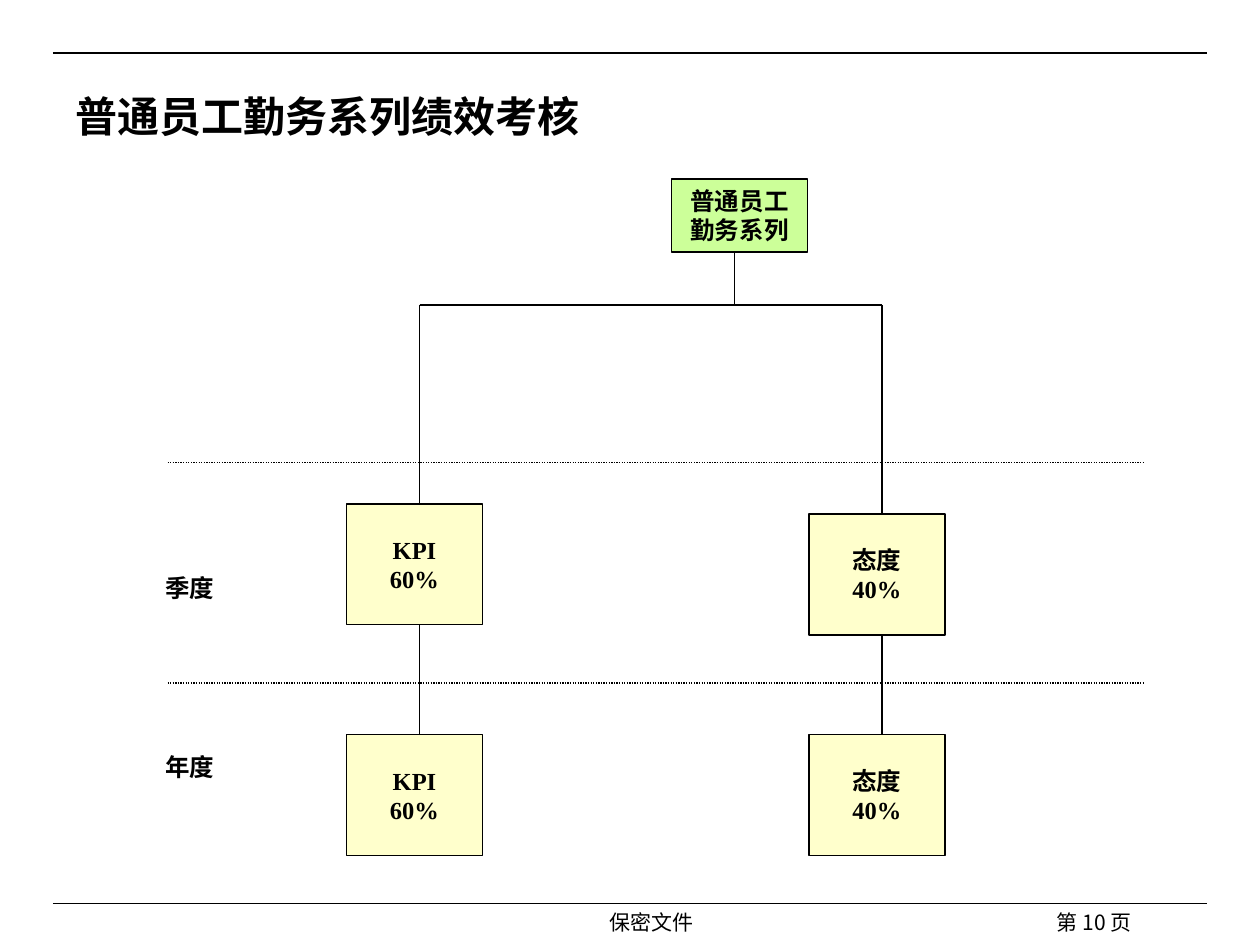
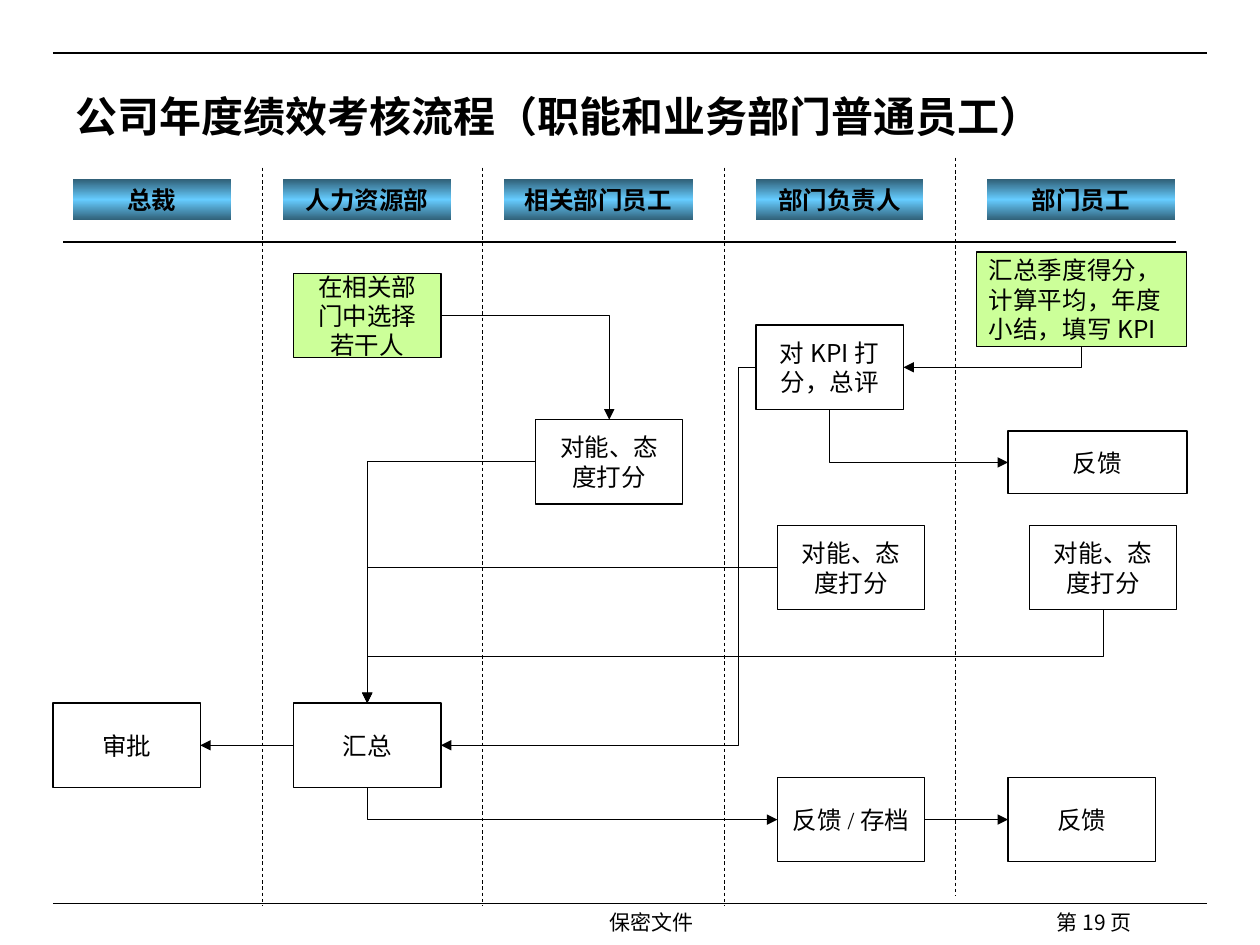
from copy import deepcopy

from lxml import etree
from pptx import Presentation
from pptx.dml.color import RGBColor
from pptx.enum.dml import MSO_LINE
from pptx.enum.shapes import MSO_CONNECTOR, MSO_SHAPE
from pptx.enum.text import MSO_ANCHOR, PP_ALIGN
from pptx.oxml.ns import qn
from pptx.util import Inches, Pt

STRAIGHT, ELBOW = MSO_CONNECTOR.STRAIGHT, MSO_CONNECTOR.ELBOW
RECT = MSO_SHAPE.RECTANGLE
DOT, DASH = MSO_LINE.ROUND_DOT, MSO_LINE.DASH
MIDDLE, HIGH = MSO_ANCHOR.MIDDLE, MSO_ANCHOR.TOP
LEFT, CENTER, RIGHT = PP_ALIGN.LEFT, PP_ALIGN.CENTER, PP_ALIGN.RIGHT
TOP, WEST, BOTTOM, EAST = range(4)
SANS, SERIF = "Noto Sans CJK SC", "Times New Roman"
BLACK, GREEN, CREAM = "000000", "CCFF99", "FFFFCC"
TEAL, SKY = "2F5E75", "66CCFF"
STEP = (1.17, 0.67)


def paint(color, value):
    """Set a colour from a hex string."""
    color.rgb = RGBColor.from_string(value)


def write(shape, text, size=14, font=SANS, bold=False, align=CENTER, anchor=MIDDLE):
    """Put styled text into a shape."""
    frame = shape.text_frame
    frame.word_wrap = True
    frame.vertical_anchor = anchor
    frame.text = text
    for para in frame.paragraphs:
        para.alignment = align
        for run in para.runs:
            run.font.size = Pt(size)
            run.font.name = font
            run.font.bold = bold
            paint(run.font.color, BLACK)
            east = etree.SubElement(run.font._element, qn("a:ea"))
            east.set("typeface", SANS)


def label(slide, text, x, y, w, h, **style):
    """Add a text box."""
    write(slide.shapes.add_textbox(Inches(x), Inches(y), Inches(w), Inches(h)), text, **style)


def box(slide, text, x, y, w, h, fill=None, **style):
    """Add an outlined rectangle with text."""
    shape = slide.shapes.add_shape(RECT, Inches(x), Inches(y), Inches(w), Inches(h))
    shape.shadow.inherit = False
    if fill:
        shape.fill.solid()
        paint(shape.fill.fore_color, fill)
    else:
        shape.fill.background()
    paint(shape.line.color, BLACK)
    shape.line.width = Pt(0.75)
    write(shape, text, **style)
    return shape


def band(slide, text, x, w):
    """Add a column heading with a vertical gradient."""
    shape = box(slide, text, x, 1.42, w, 0.33, bold=True)
    shape.line.fill.background()
    shape.fill.gradient()
    shape.fill.gradient_angle = 90
    edge, mid = shape.fill.gradient_stops
    paint(edge.color, TEAL)
    paint(mid.color, SKY)
    edge.position, mid.position = 0, 0.5
    stops = shape._element.spPr.find(".//" + qn("a:gsLst"))
    last = deepcopy(stops[0])
    last.set("pos", "100000")
    stops.append(last)


def ink(link, width=0.75, dash=None, arrow=False):
    """Style a connector and drop its shadow."""
    paint(link.line.color, BLACK)
    link.line.width = Pt(width)
    if dash:
        link.line.dash_style = dash
    props = link._element.spPr
    if arrow:
        etree.SubElement(props.find(qn("a:ln")), qn("a:tailEnd")).set("type", "triangle")
    etree.SubElement(props, qn("a:effectLst"))


def rule(slide, x1, y1, x2, y2, **style):
    """Draw a straight line."""
    ends = [Inches(n) for n in (x1, y1, x2, y2)]
    ink(slide.shapes.add_connector(STRAIGHT, *ends), **style)


def join(slide, kind, start, out, end, into):
    """Join the sides of two boxes with an arrow."""
    link = slide.shapes.add_connector(kind, 0, 0, 0, 0)
    link.begin_connect(start, out)
    link.end_connect(end, into)
    ink(link, arrow=True)
    return link


def bend(slide, start, out, end, into, adjust=None):
    """Join two boxes with an elbow arrow of one or two corners."""
    link = join(slide, ELBOW, start, out, end, into)
    props = link._element.spPr
    geom, frame = props.find(qn("a:prstGeom")), props.find(qn("a:xfrm"))
    if out % 2 != into % 2:
        geom.set("prst", "bentConnector2")
    if adjust is not None:
        guide = etree.SubElement(geom.find(qn("a:avLst")), qn("a:gd"))
        guide.set("name", "adj1")
        guide.set("fmla", f"val {adjust}")
    if out in (TOP, BOTTOM):
        right = link.end_x > link.begin_x
        x, y, w, h = link.left, link.top, link.width, link.height
        link.left, link.top = x + (w - h) // 2, y + (h - w) // 2
        link.width, link.height = h, w
        frame.set("rot", str((270 if right else 90) * 60000))
        frame.set("flipH", "1" if right else "0")
        frame.set("flipV", "0")


def page(deck, title, number):
    """Add a slide with its title, rules and footer."""
    slide = deck.slides.add_slide(deck.slide_layouts[6])
    for y in (0.42, 7.17):
        rule(slide, 0.42, y, 9.58, y)
    label(slide, "保密文件", 2.92, 7.17, 4.5, 0.25, size=12, anchor=HIGH)
    label(slide, f"第{number}页", 7, 7.17, 2.08, 0.17, size=12, align=RIGHT, anchor=HIGH)
    label(slide, title, 0.5, 0.58, 8.92, 0.67, size=24, font=SERIF, bold=True, align=LEFT)
    return slide


def tree(deck):
    """Build the tree of ratings by quarter and year."""
    slide = page(deck, "普通员工勤务系列绩效考核", 10)
    rule(slide, 5.83, 2, 5.83, 2.42)
    rule(slide, 3.33, 2.42, 7, 2.42)
    for y in (3.67, 5.42):
        rule(slide, 1.33, y, 9.08, y, dash=DOT)
    bold = {"font": SERIF, "bold": True}
    box(slide, "普通员工勤务系列", 5.33, 1.42, 1.08, 0.58, GREEN, **bold)
    for text, x, stem, high in (("KPI\n60%", 2.75, 3.33, 4), ("态度\n40%", 6.42, 7, 4.08)):
        rule(slide, stem, 2.42, stem, 5.83)
        for y in (high, 5.83):
            box(slide, text, x, y, 1.08, 0.96, CREAM, **bold)
    for text, y in (("季度", 4.5), ("年度", 5.92)):
        label(slide, text, 0.92, y, 1.17, 0.34, anchor=HIGH, **bold)


def flow(deck):
    """Build the yearly rating flow across five columns."""
    slide = page(deck, "公司年度绩效考核流程（职能和业务部门普通员工）", 19)
    rule(slide, 0.5, 1.92, 9.33, 1.92)
    for x, y in ((2.08, 1.33), (3.83, 1.33), (5.75, 1.33), (7.58, 1.25)):
        rule(slide, x, y, x, y + 5.86, width=0.5, dash=DASH)
    for text, x, w in (
        ("总裁", 0.58, 1.25),
        ("人力资源部", 2.25, 1.33),
        ("相关部门员工", 4, 1.5),
        ("部门负责人", 6, 1.33),
        ("部门员工", 7.83, 1.5),
    ):
        band(slide, text, x, w)

    pick = box(slide, "在相关部门中选择若干人", 2.33, 2.17, *STEP, GREEN, font=SERIF)
    report = box(slide, "汇总季度得分，计算平均，年度小结，填写KPI", 7.75, 2, 1.67, 0.75, GREEN, align=LEFT)
    review = box(slide, "对KPI打分，总评", 6, 2.58, *STEP)
    reply = box(slide, "反馈", 8, 3.42, 1.42, 0.5)
    peer, boss, staff = [
        box(slide, "对能、态度打分", x, y, *STEP, font=SERIF)
        for x, y in ((4.25, 3.33), (6.17, 4.17), (8.17, 4.17))
    ]
    total, sign, store, final = [
        box(slide, text, x, y, *STEP, font=SERIF)
        for text, x, y in (
            ("汇总", 2.33, 5.58),
            ("审批", 0.42, 5.58),
            ("反馈/存档", 6.17, 6.17),
            ("反馈", 8, 6.17),
        )
    ]

    bend(slide, pick, EAST, peer, TOP)
    bend(slide, report, BOTTOM, review, EAST)
    bend(slide, review, BOTTOM, reply, WEST)
    bend(slide, review, WEST, total, EAST, adjust=5500)
    for rater in (peer, boss):
        bend(slide, rater, WEST, total, TOP)
    bend(slide, staff, BOTTOM, total, TOP, adjust=50000)
    bend(slide, total, BOTTOM, store, WEST)
    join(slide, STRAIGHT, total, WEST, sign, EAST)
    join(slide, STRAIGHT, store, EAST, final, WEST)


def main():
    """Build and save the deck."""
    deck = Presentation()
    deck.slide_width, deck.slide_height = Inches(10), Inches(7.5)
    tree(deck)
    flow(deck)
    deck.save("out.pptx")


if __name__ == "__main__":
    main()
